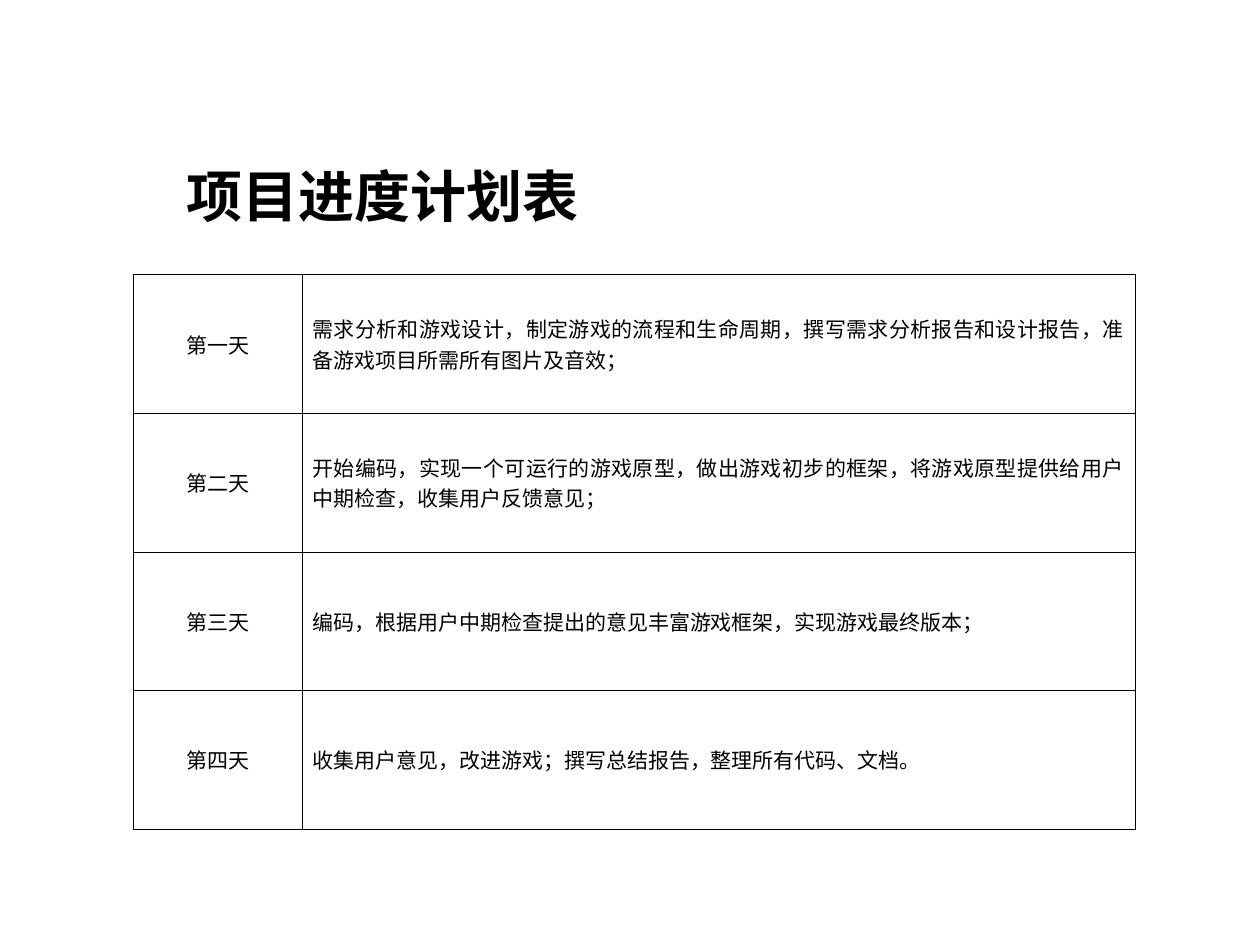
from lxml.etree import SubElement
from pptx import Presentation
from pptx.dml.color import RGBColor
from pptx.enum.text import MSO_ANCHOR, MSO_AUTO_SIZE, PP_ALIGN
from pptx.oxml.ns import qn
from pptx.util import Inches, Pt

COLORS = {"ink": "000000", "paper": "FFFFFF"}
SCHEDULE = [
    ("第一天", "需求分析和游戏设计，制定游戏的流程和生命周期，撰写需求分析报告和设计报告，准备游戏项目所需所有图片及音效；"),
    ("第二天", "开始编码，实现一个可运行的游戏原型，做出游戏初步的框架，将游戏原型提供给用户中期检查，收集用户反馈意见；"),
    ("第三天", "编码，根据用户中期检查提出的意见丰富游戏框架，实现游戏最终版本；"),
    ("第四天", "收集用户意见，改进游戏；撰写总结报告，整理所有代码、文档。"),
]


def write(frame, text, *, size, font, align, bold=False, color="ink"):
    frame.word_wrap = True
    paragraph = frame.paragraphs[0]
    paragraph.alignment = align
    run = paragraph.add_run()
    run.text = text
    run.font.size = Pt(size)
    run.font.name = font
    run.font.bold = bold
    run.font.color.rgb = RGBColor.from_string(COLORS[color])


class PlanSlide:
    title_font = "Arial"
    body_font = "Times New Roman"
    border_width = Pt(0.45)

    def __init__(self, deck):
        self.slide = deck.slides.add_slide(deck.slide_layouts[5])

    def title(self, text, left, top, width, height):
        heading = self.slide.shapes.title
        heading.left, heading.top = Inches(left), Inches(top)
        heading.width, heading.height = Inches(width), Inches(height)
        frame = heading.text_frame
        frame.auto_size = MSO_AUTO_SIZE.NONE
        frame.vertical_anchor = MSO_ANCHOR.MIDDLE
        write(frame, text, size=32, font=self.title_font, align=PP_ALIGN.LEFT, bold=True)

    def border(self, cell):
        properties = cell._tc.get_or_add_tcPr()
        for side in ("lnL", "lnR", "lnT", "lnB"):
            line = SubElement(properties, qn(f"a:{side}"), w=str(self.border_width))
            fill = SubElement(line, qn("a:solidFill"))
            SubElement(fill, qn("a:srgbClr"), val=COLORS["ink"])

    def schedule(self, days, left, top, widths, row_height):
        table = self.slide.shapes.add_table(
            len(days), len(widths), Inches(left), Inches(top),
            Inches(sum(widths)), Inches(row_height * len(days)),
        ).table
        table.first_row = table.horz_banding = False
        for column, width in zip(table.columns, widths):
            column.width = Inches(width)
        for row, day in zip(table.rows, days):
            row.height = Inches(row_height)
            for cell, text, align in zip(row.cells, day, (PP_ALIGN.CENTER, PP_ALIGN.JUSTIFY)):
                self.border(cell)
                cell.fill.solid()
                cell.fill.fore_color.rgb = RGBColor.from_string(COLORS["paper"])
                cell.vertical_anchor = MSO_ANCHOR.MIDDLE
                cell.margin_left = cell.margin_right = Inches(0.08)
                cell.margin_top = cell.margin_bottom = Inches(0.05)
                write(cell.text_frame, text, size=12, font=self.body_font, align=align)


def main():
    deck = Presentation()
    deck.slide_width, deck.slide_height = Inches(10), Inches(7.5)
    plan = PlanSlide(deck)
    plan.title("项目进度计划表", 1.38, 1.23, 7.01, 0.64)
    plan.schedule(SCHEDULE, 1.06, 2.18, (1.34, 6.61), 1.1)
    deck.save("out.pptx")


if __name__ == "__main__":
    main()
